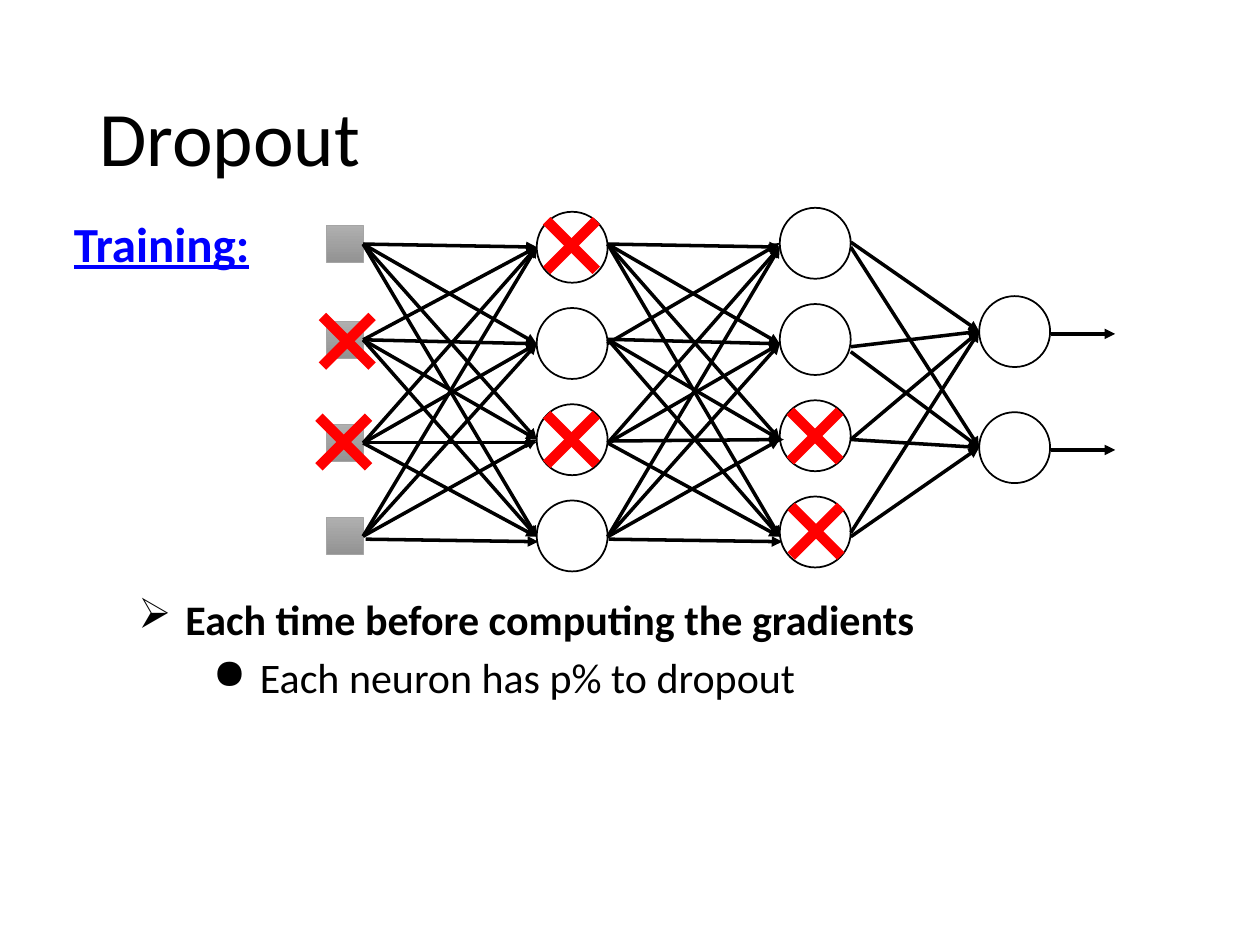
from itertools import product
from lxml import etree
from pptx import Presentation
from pptx import util as u
from pptx.dml.color import RGBColor
from pptx.enum import shapes, text
from pptx.oxml import ns

BLACK = RGBColor(0, 0, 0)
BLUE = RGBColor(0, 0, 255)
RED = RGBColor(255, 0, 0)
LIGHT = RGBColor(0xAF, 0xAF, 0xAF)
GRAY = RGBColor(0xA5, 0xA5, 0xA5)
DARK = RGBColor(0x93, 0x93, 0x93)
FONT = "Calibri"

TITLE = ("Dropout", (1.75, 1.02, 21.9, 3.68), 44)
LABEL = ("Training:", (1.24, 4.17, 6.45, 1.45), 28)
POINTS = [
    ("Each time before computing the gradients", (2.54, 11.84, 17.53, 1.27), "➢", True),
    ("Each neuron has p% to dropout", (4.04, 13, 17.86, 1.27), "●", False),
]

SIDE, RING, CROSS = 0.74, 1.43, 1
INPUTS = (6.58, [4.55, 6.48, 8.56, 10.44])
HIDDEN = [(10.82, 4.27), (15.72, 4.19)]
STEP = 1.94
OUTPUTS = (19.74, [5.97, 8.31])
DROPPED = [(11.02, 4.45), (11.02, 8.36), (15.93, 8.29),
           (15.95, 10.21), (6.43, 8.41), (6.5, 6.38)]

LEFT = [4.92, 6.84, 8.93, 10.82]
RIGHT = [4.98, 6.93, 8.86, 10.82]
SHIFTED = {
    0: {(2, 2): (7.37, 8.92, 10.82, 8.92), (3, 3): (7.37, 10.87, 10.85, 10.92)},
    1: {(1, 0): (12.24, 6.93, 15.72, 4.9), (2, 2): (12.34, 8.89, 15.8, 8.86),
        (3, 3): (12.27, 10.87, 15.77, 10.92)},
}
LAST = [(4.88, 4.98), (6.99, 7.09), (8.86, 8.86), (10.74, 10.82)]
ENDS = [6.68, 9.02]
EXITS = [6.73, 9.07]

deck = Presentation()
deck.slide_width, deck.slide_height = u.Cm(25.4), u.Cm(19.05)
slide = deck.slides.add_slide(deck.slide_layouts[6])


def cms(vals):
    return [u.Cm(v) for v in vals]


def write(words, area, size, bold=False, color=BLACK, mark=None):
    box = slide.shapes.add_textbox(*cms(area))
    box.text_frame.word_wrap = True
    para = box.text_frame.paragraphs[0]
    para.text = words
    if mark:
        props = para._p.get_or_add_pPr()
        props.set("marL", str(u.Cm(0.95)))
        props.set("indent", str(u.Cm(-0.95)))
        etree.SubElement(props, ns.qn("a:buChar")).set("char", mark)
    font = para.font
    font.name, font.size, font.bold = FONT, u.Pt(size), bold
    font.color.rgb = color
    return box


def node(kind, x, y, size, width, color):
    shape = slide.shapes.add_shape(kind, *cms((x, y, size, size)))
    shape.shadow.inherit = False
    shape.fill.background()
    shape.line.color.rgb = color
    shape.line.width = u.Pt(width)
    return shape


def square(x, y):
    shape = node(shapes.MSO_SHAPE.RECTANGLE, x, y, SIDE, 0.5, GRAY)
    shape.fill.gradient()
    shape.fill.gradient_angle = 270
    for stop, color in zip(shape.fill.gradient_stops, (LIGHT, DARK)):
        stop.color.rgb = color
    return shape


def ring(x, y):
    return node(shapes.MSO_SHAPE.OVAL, x, y, RING, 1, BLACK)


def stroke(home, ends, width, color):
    line = home.add_connector(shapes.MSO_CONNECTOR.STRAIGHT, *cms(ends))
    line.line.color.rgb = color
    line.line.width = u.Pt(width)
    etree.SubElement(line._element.spPr, ns.qn("a:effectLst"))
    return line


def arrow(*ends):
    line = stroke(slide.shapes, ends, 2, BLACK)
    tail = etree.SubElement(line.line._get_or_add_ln(), ns.qn("a:tailEnd"))
    tail.set("type", "triangle")
    return line


def cross(x, y):
    home = slide.shapes.add_group_shape().shapes
    stroke(home, (x, y, x + CROSS, y + CROSS), 6, RED)
    stroke(home, (x + CROSS, y, x, y + CROSS), 6, RED)


title = write(*TITLE)
title.text_frame.vertical_anchor = text.MSO_ANCHOR.MIDDLE
title.text_frame.paragraphs[0].line_spacing = 0.9
label = write(*LABEL, bold=True, color=BLUE)
label.text_frame.paragraphs[0].font.underline = True

squares = [square(INPUTS[0], y) for y in INPUTS[1]]
for x, top in HIDDEN:
    for row in range(4):
        ring(x, top + row * STEP)
for y in OUTPUTS[1]:
    ring(OUTPUTS[0], y)

starts = [INPUTS[0] + SIDE, HIDDEN[0][0] + RING]
for layer, x in enumerate(starts):
    for i, j in product(range(4), repeat=2):
        moved = SHIFTED[layer].get((i, j))
        line = arrow(*(moved or (x, LEFT[i], HIDDEN[layer][0], RIGHT[j])))
        if layer == 0 and not moved:
            line.begin_connect(squares[i], 3)

for pair in LAST:
    for y, end in zip(pair, ENDS):
        arrow(HIDDEN[1][0] + RING, y, OUTPUTS[0], end)
for y in EXITS:
    arrow(21.18, y, 22.48, y)

for spot in DROPPED:
    cross(*spot)

for words, area, mark, bold in POINTS:
    write(words, area, 24, bold, mark=mark)

deck.save("out.pptx")
